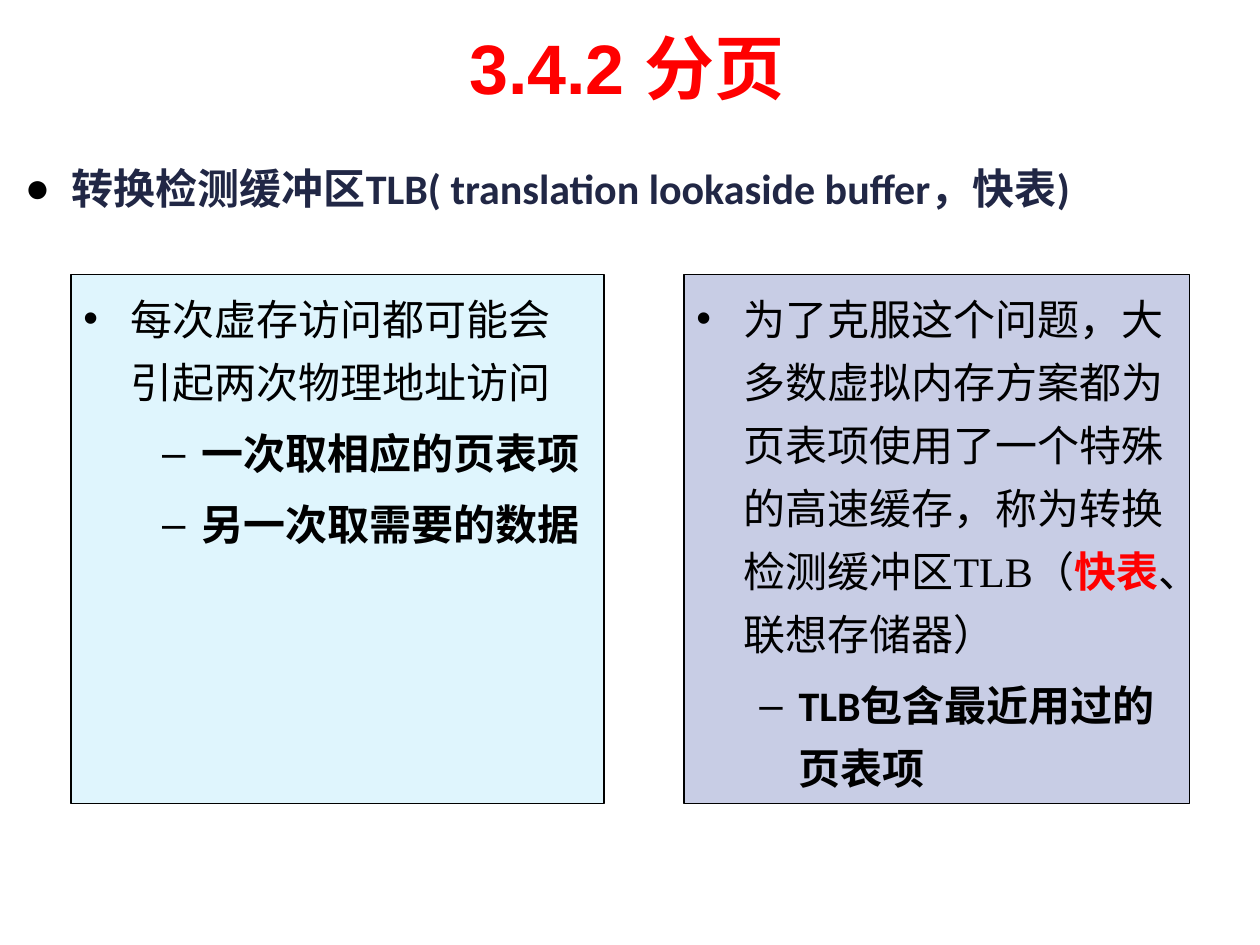
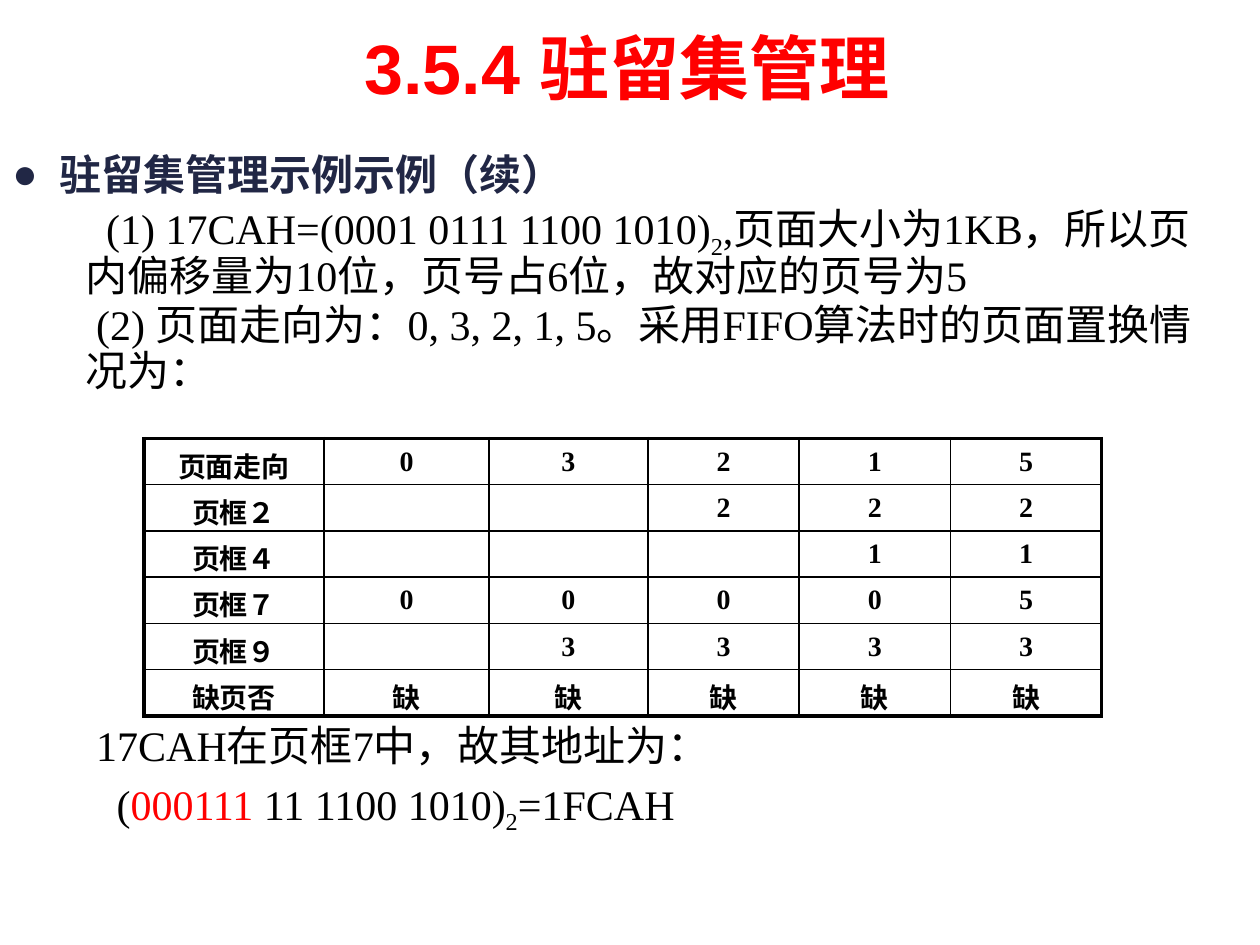
from dataclasses import dataclass

from lxml import etree
from pptx import Presentation
from pptx import util as u
from pptx.dml.color import RGBColor
from pptx.enum import lang, shapes, text
from pptx.oxml.ns import qn


@dataclass(frozen=True)
class Theme:
    red: str = "FF0000"
    ink: str = "000000"
    navy: str = "212745"
    cyan: str = "DFF5FD"
    lavender: str = "C8CDE5"
    title_size: int = 40
    body_size: int = 24
    cell_size: int = 16
    sans: str = "Arial"
    heading: str = "Calibri"
    serif: str = "Times New Roman"


theme = Theme()

SPAN_STYLES = {
    "title": (theme.sans, theme.title_size, theme.red, True),
    "heading": (theme.heading, theme.body_size, theme.navy, True),
    "sans": (theme.sans, theme.body_size, theme.ink, False),
    "sans bold": (theme.sans, theme.body_size, theme.ink, True),
    "serif": (theme.serif, theme.body_size, theme.ink, False),
    "subscript": (theme.serif, theme.body_size, theme.ink, False),
    "serif red": (theme.serif, theme.body_size, theme.red, False),
    "serif red bold": (theme.serif, theme.body_size, theme.red, True),
    "point": (theme.heading, theme.body_size, theme.ink, True),
    "cell": (theme.serif, theme.cell_size, theme.ink, True),
}

# margin, indent, line spacing, space before, bullet, bullet colour
PARA_STYLES = {
    "title": (0, 0, 1, 0, None, None),
    "black heading": (0.95, -0.95, 1.25, 4.8, "●", theme.ink),
    "heading": (0.95, -0.95, 1.25, 4.8, "●", theme.navy),
    "bullet": (0.95, -0.95, 1.25, 4.8, "•", theme.ink),
    "left dash": (2.38, -0.79, 1.25, 4.8, "–", theme.ink),
    "right dash": (2.06, -0.79, 1.25, 4.8, "–", theme.ink),
    "step 1": (1.47, 0.42, 0.9, 2.4, None, None),
    "step 2": (1.47, 0.22, 0.9, 2.4, None, None),
    "result": (1.47, 0.22, 0.9, 4.8, None, None),
    "formula": (1.47, 0.63, 0.9, 4.8, None, None),
    "cell": (0, 0, 1, 3.2, None, None),
}


def write(frame, paragraphs, align=text.PP_ALIGN.LEFT):
    frame.word_wrap = True
    for number, (para_style, spans) in enumerate(paragraphs):
        para = frame.add_paragraph() if number else frame.paragraphs[0]
        margin, indent, line, before, bullet, bullet_colour = PARA_STYLES[para_style]
        para.alignment = align
        para.line_spacing = line
        para.space_before = u.Pt(before)
        props = para._p.get_or_add_pPr()
        props.set("marL", str(u.Cm(margin)))
        props.set("indent", str(u.Cm(indent)))
        if bullet:
            colour = etree.SubElement(props, qn("a:buClr"))
            etree.SubElement(colour, qn("a:srgbClr"), val=bullet_colour)
            etree.SubElement(props, qn("a:buFont"), typeface=theme.sans)
            etree.SubElement(props, qn("a:buChar"), char=bullet)
        else:
            etree.SubElement(props, qn("a:buNone"))
        for words, span_style in spans:
            span = para.add_run()
            span.text = words
            font = span.font
            font.name, size, colour, font.bold = SPAN_STYLES[span_style]
            font.size = u.Pt(size)
            font.color.rgb = RGBColor.from_string(colour)
            font.language_id = lang.MSO_LANGUAGE_ID.SIMPLIFIED_CHINESE
            if span_style == "subscript":
                span._r.get_or_add_rPr().set("baseline", "-25000")


def add_page(deck, title):
    page = deck.slides.add_slide(deck.slide_layouts[5])
    box = page.shapes.title
    box.left, box.top, box.width, box.height = u.Cm(2.69), u.Cm(0.36), u.Cm(19.89), u.Cm(1.57)
    box.text_frame.auto_size = text.MSO_AUTO_SIZE.NONE
    box.text_frame.vertical_anchor = text.MSO_ANCHOR.TOP
    write(box.text_frame, [("title", [(title, "title")])], text.PP_ALIGN.CENTER)
    return page


deck = Presentation()
deck.slide_width, deck.slide_height = u.Cm(25.4), u.Cm(19.05)

paging = add_page(deck, "3.4.2 分页")
resident = add_page(deck, "3.5.4 驻留集管理")

text_blocks = [
    (paging, (0.25, 2.9, 24.3, 1.8), [
        ("black heading", [("转换检测缓冲区TLB( translation lookaside buffer，快表)", "heading")]),
    ]),
    (resident, (0, 2.62, 24.9, 5.6), [
        ("heading", [("驻留集管理示例示例（续）", "heading")]),
        ("step 1", [
            ("(1) 17CAH=(0001 0111 1100 1010)", "serif"),
            ("2", "subscript"),
            (",页面大小为1KB，所以页内偏移量为10位，页号占6位，故对应的页号为5", "serif"),
        ]),
        ("step 2", [("(2) 页面走向为：0, 3, 2, 1, 5。采用FIFO算法时的页面置换情况为：", "serif")]),
    ]),
    (resident, (0, 14.5, 24.9, 2.9), [
        ("result", [("17CAH在页框7中，故其地址为：", "serif")]),
        ("formula", [
            ("(", "serif"),
            ("000111", "serif red"),
            (" 11 1100 1010)", "serif"),
            ("2", "subscript"),
            ("=1FCAH", "serif"),
        ]),
    ]),
]
for page, place, paragraphs in text_blocks:
    box = page.shapes.add_textbox(*map(u.Cm, place))
    write(box.text_frame, paragraphs)

panels = [
    (13.79, 10.19, theme.lavender, [
        ("bullet", [
            ("为了克服这个问题，大多数虚拟内存方案都为页表项使用了一个特殊的高速缓存，称为转换检测缓冲区TLB（", "serif"),
            ("快表", "serif red bold"),
            ("、联想存储器）", "serif"),
        ]),
        ("right dash", [("TLB包含最近用过的页表项", "point")]),
    ]),
    (1.43, 10.75, theme.cyan, [
        ("bullet", [("每次虚存访问都可能会引起两次物理地址访问", "sans")]),
        ("left dash", [("一次取相应的页表项", "sans bold")]),
        ("left dash", [("另一次取需要的数据", "sans bold")]),
    ]),
]
for left, width, colour, paragraphs in panels:
    panel = paging.shapes.add_shape(
        shapes.MSO_SHAPE.RECTANGLE, u.Cm(left), u.Cm(5.53), u.Cm(width), u.Cm(10.67))
    panel.shadow.inherit = False
    panel.fill.solid()
    panel.fill.fore_color.rgb = RGBColor.from_string(colour)
    panel.line.color.rgb = RGBColor.from_string(theme.ink)
    panel.line.width = u.Pt(0.75)
    panel.text_frame.vertical_anchor = text.MSO_ANCHOR.TOP
    write(panel.text_frame, paragraphs)

frames = [
    ("页面走向", "0", "3", "2", "1", "5"),
    ("页框２", "", "", "2", "2", "2"),
    ("页框４", "", "", "", "1", "1"),
    ("页框７", "0", "0", "0", "0", "5"),
    ("页框９", "", "3", "3", "3", "3"),
    ("缺页否", "缺", "缺", "缺", "缺", "缺"),
]
column_widths = [3.63, 3.33, 3.2, 3.05, 3.05, 3.05]
row_height = 0.93
last_row, last_column = len(frames) - 1, len(column_widths) - 1
table = resident.shapes.add_table(
    len(frames), len(column_widths), u.Cm(2.9), u.Cm(8.84),
    u.Cm(sum(column_widths)), u.Cm(row_height * len(frames))).table
table.first_row = table.horz_banding = False
for column, width in zip(table.columns, column_widths):
    column.width = u.Cm(width)

for r, values in enumerate(frames):
    table.rows[r].height = u.Cm(row_height)
    for c, value in enumerate(values):
        cell = table.cell(r, c)
        cell.vertical_anchor = text.MSO_ANCHOR.MIDDLE
        cell.fill.background()
        spans = [(value, "cell")] if value else []
        write(cell.text_frame, [("cell", spans)], text.PP_ALIGN.CENTER)
        if not value:
            etree.SubElement(cell.text_frame.paragraphs[0]._p, qn("a:endParaRPr"),
                             sz=str(theme.cell_size * 100))
        outer_edges = {"L": c == 0, "R": c == last_column, "T": r == 0, "B": r == last_row}
        for position, (side, outer) in enumerate(outer_edges.items()):
            border = etree.Element(qn(f"a:ln{side}"), w=str(u.Pt(2.25 if outer else 1)))
            fill = etree.SubElement(border, qn("a:solidFill"))
            etree.SubElement(fill, qn("a:srgbClr"), val=theme.ink)
            cell._tc.get_or_add_tcPr().insert(position, border)

deck.save("out.pptx")
